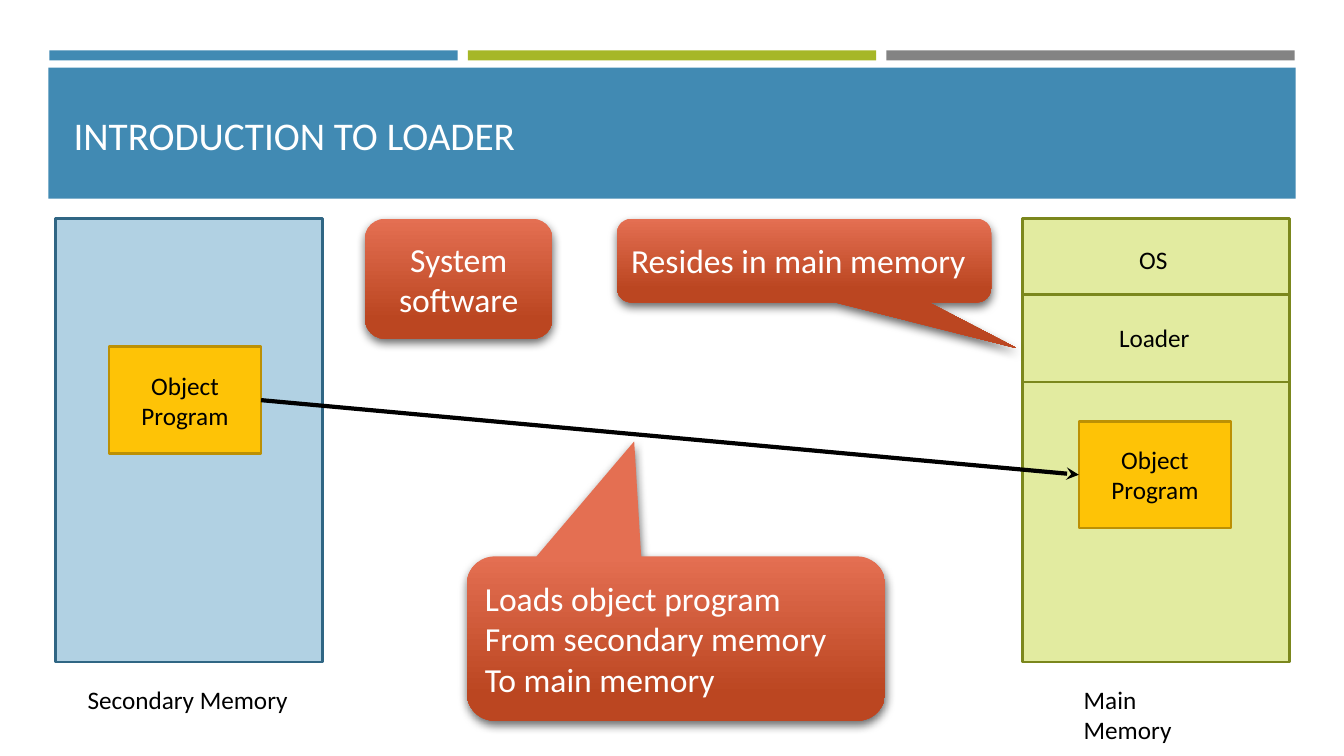
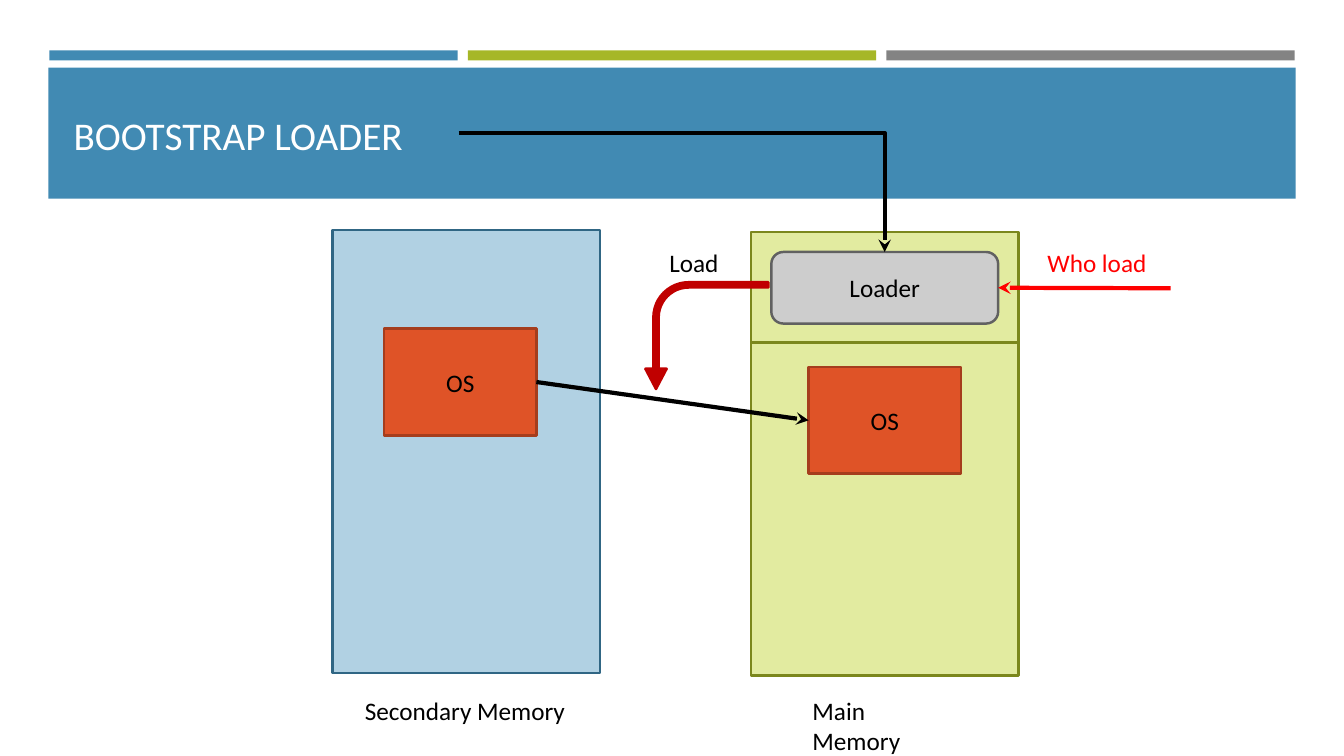
from dataclasses import dataclass

from lxml import etree
from pptx import Presentation
from pptx import util as u
from pptx.dml.color import RGBColor
from pptx.enum import shapes as es, text as et
from pptx.oxml.ns import qn

FONT = "Calibri"
BLACK, WHITE, RED, DARK_RED = "000000", "FFFFFF", "FF0000", "C00000"
BLUE, GREEN, GREY = "418AB3", "A6B727", "838383"
CALLOUT_TOP, CALLOUT_END = "E46F52", "BB4621"
BAND_LEFT, BAND_WIDTH, BAND_STEP = 0.49, 4.05, 4.15
MEMORY_SIZE = (2.65, 4.4)
PROGRAM_SIZE = (1.51, 1.06)
LINE_PT = 1.75
SHAPE = es.MSO_SHAPE
LEFT, CENTER = et.PP_ALIGN.LEFT, et.PP_ALIGN.CENTER


@dataclass(frozen=True)
class Style:
    fill: str
    line: str | None = None


@dataclass(frozen=True)
class Label:
    text: str
    x: float
    y: float
    width: float
    color: str = BLACK
    wrap: bool = False


@dataclass(frozen=True)
class Callout:
    kind: SHAPE
    box: tuple
    lines: tuple
    align: et.PP_ALIGN = LEFT
    adjust: tuple = ()


SECONDARY = Style("B1D1E3", "306684")
MAIN = Style("E2EBA0", "7B871D")
OBJECT = Style("FEC306", "BC9004")
SYSTEM = Style("DF5327", "A53D1D")
LOADER = Style("CDCDCD", "616161")
ARROW = Style(DARK_RED, DARK_RED)


def rgb(color: str) -> RGBColor:
    return RGBColor.from_string(color)


def inches(*values: float) -> list:
    return [u.Inches(v) for v in values]


def write(tf, lines: tuple, size: int, color: str, align=LEFT) -> None:
    tf.vertical_anchor = et.MSO_ANCHOR.MIDDLE
    for i, line in enumerate(lines):
        p = tf.paragraphs[0] if i == 0 else tf.add_paragraph()
        p.text = line
        p.alignment = align
        p.font.name, p.font.size = FONT, u.Pt(size)
        p.font.color.rgb = rgb(color)


def add_box(s, box: tuple, style: Style, *lines: str, kind=SHAPE.RECTANGLE):
    sp = s.shapes.add_shape(kind, *inches(*box))
    sp.shadow.inherit = False
    sp.fill.solid()
    sp.fill.fore_color.rgb = rgb(style.fill)
    if style.line:
        sp.line.color.rgb = rgb(style.line)
        sp.line.width = u.Pt(LINE_PT)
    else:
        sp.line.fill.background()
    if lines:
        write(sp.text_frame, lines, 18, BLACK, CENTER)
    return sp


def add_label(s, label: Label) -> None:
    sp = s.shapes.add_textbox(*inches(label.x, label.y, label.width, 0.4))
    sp.text_frame.word_wrap = label.wrap
    write(sp.text_frame, (label.text,), 18, label.color)
    sp.text_frame.vertical_anchor = et.MSO_ANCHOR.TOP


def add_callout(s, callout: Callout) -> None:
    sp = add_box(s, callout.box, Style(CALLOUT_TOP), kind=callout.kind)
    for i, value in enumerate(callout.adjust):
        sp.adjustments[i] = value
    sp.fill.gradient()
    sp.fill.gradient_angle = 270
    stops = ((0, CALLOUT_TOP), (0.84, CALLOUT_END))
    for stop, (position, color) in zip(sp.fill.gradient_stops, stops):
        stop.position = position
        stop.color.rgb = rgb(color)
    effects = sp._element.spPr.find(qn("a:effectLst"))
    shadow = etree.SubElement(effects, qn("a:outerShdw"), blurRad=str(u.Pt(7)),
                              dist=str(u.Pt(3)), dir=str(84 * 60000),
                              algn="ctr", rotWithShape="0")
    color = etree.SubElement(shadow, qn("a:srgbClr"), val=BLACK)
    etree.SubElement(color, qn("a:alpha"), val="60000")
    write(sp.text_frame, callout.lines, 24, WHITE, callout.align)


def add_line(s, start: tuple, end: tuple, color: str, width: float,
             kind=es.MSO_CONNECTOR.STRAIGHT):
    c = s.shapes.add_connector(kind, *inches(*start, *end))
    c.line.color.rgb = rgb(color)
    c.line.width = u.Pt(width)
    etree.SubElement(c._element.spPr, qn("a:effectLst"))
    return c


def add_arrow(s, start: tuple, target, site: int, color: str = BLACK,
              kind=es.MSO_CONNECTOR.STRAIGHT):
    """Draw an arrow from a point to a connection site of the target."""
    c = add_line(s, start, start, color, 3, kind)
    c.end_connect(target, site)
    etree.SubElement(c.line._get_or_add_ln(), qn("a:tailEnd"), type="stealth")
    return c


def join_programs(s, source, target) -> None:
    add_arrow(s, (0, 0), target, 1).begin_connect(source, 3)


def add_memory(s, x: float, y: float, style: Style, caption: Label,
               *dividers: float) -> None:
    """Draw a memory block with its caption and dividing lines."""
    width, height = MEMORY_SIZE
    add_box(s, (x, y, width, height), style)
    for line_y in dividers:
        add_line(s, (x, line_y), (x + width, line_y), style.line, LINE_PT)
    add_label(s, caption)


def new_slide(prs, title: str):
    s = prs.slides.add_slide(prs.slide_layouts[5])
    for i, color in enumerate((BLUE, GREEN, GREY)):
        add_box(s, (BAND_LEFT + i * BAND_STEP, 0.5, BAND_WIDTH, 0.1), Style(color))
    add_box(s, (0.48, 0.67, 12.37, 1.3), Style(BLUE))
    sp = s.shapes.title
    s.shapes._spTree.append(sp._element)  # bring the title above its band
    sp.left, sp.top, sp.width, sp.height = inches(0.63, 0.8, 12.06, 1.08)
    sp.text_frame.auto_size = et.MSO_AUTO_SIZE.NONE
    write(sp.text_frame, (title,), 28, WHITE)
    return s


def introduction(prs) -> None:
    s = new_slide(prs, "INTRODUCTION TO LOADER")
    add_memory(s, 0.55, 2.17, SECONDARY, Label("Secondary Memory", 0.77, 6.74, 2.2))
    add_memory(s, 10.14, 2.17, MAIN,
               Label("Main Memory", 10.65, 6.74, 1.6, wrap=True), 2.92, 3.79)
    add_label(s, Label("Loader", 11, 3.15, 0.92))
    add_label(s, Label("OS", 11.2, 2.37, 0.53))
    stored, loaded = (add_box(s, (x, y, *PROGRAM_SIZE), OBJECT, "Object", "Program")
                      for x, y in ((1.08, 3.44), (10.7, 4.18)))
    join_programs(s, stored, loaded)
    for callout in (
        Callout(SHAPE.FLOWCHART_ALTERNATE_PROCESS, (3.62, 2.17, 1.86, 1.19),
                ("System software",), CENTER),
        Callout(SHAPE.ROUNDED_RECTANGULAR_CALLOUT, (6.12, 2.17, 3.71, 0.83),
                ("Resides in main memory",), adjust=(0.57, 1.05, 0.17)),
        Callout(SHAPE.ROUNDED_RECTANGULAR_CALLOUT, (4.63, 5.52, 4.15, 1.63),
                ("Loads object program", "From secondary memory", "To main memory"),
                adjust=(-0.1, -1.2, 0.17)),
    ):
        add_callout(s, callout)


def bootstrap(prs) -> None:
    s = new_slide(prs, "BOOTSTRAP LOADER")
    add_memory(s, 3.3, 2.28, SECONDARY, Label("Secondary Memory", 3.52, 6.85, 2.2))
    add_memory(s, 7.45, 2.3, MAIN,
               Label("Main Memory", 7.96, 6.85, 1.6, wrap=True), 3.4)
    loader = add_box(s, (7.65, 2.5, 2.25, 0.71), LOADER, "Loader",
                     kind=SHAPE.ROUNDED_RECTANGLE)
    stored, loaded = (add_box(s, (x, y, *PROGRAM_SIZE), SYSTEM, "OS")
                      for x, y in ((3.81, 3.26), (8.02, 3.64)))
    join_programs(s, stored, loaded)

    load_arrow = add_box(s, (6.48, 2.72, 1.06, 1.22), ARROW, kind=SHAPE.BENT_ARROW)
    for i, value in enumerate((0.05, 0.1, 0.19, 0.33)):
        load_arrow.adjustments[i] = value
    load_arrow.rotation = 270
    load_arrow._element.spPr.find(qn("a:xfrm")).set("flipH", "1")

    add_label(s, Label("Load", 6.54, 2.4, 0.7))
    add_label(s, Label("Who load", 10.29, 2.4, 1.23, RED))
    elbow = add_arrow(s, (4.55, 1.32), loader, 0, kind=es.MSO_CONNECTOR.ELBOW)
    elbow._element.spPr.find(qn("a:prstGeom")).set("prst", "bentConnector2")
    add_arrow(s, (11.61, 2.86), loader, 3, RED)


def main() -> None:
    prs = Presentation()
    prs.slide_width, prs.slide_height = inches(13.33, 7.5)
    introduction(prs)
    bootstrap(prs)
    prs.save("out.pptx")


if __name__ == "__main__":
    main()
